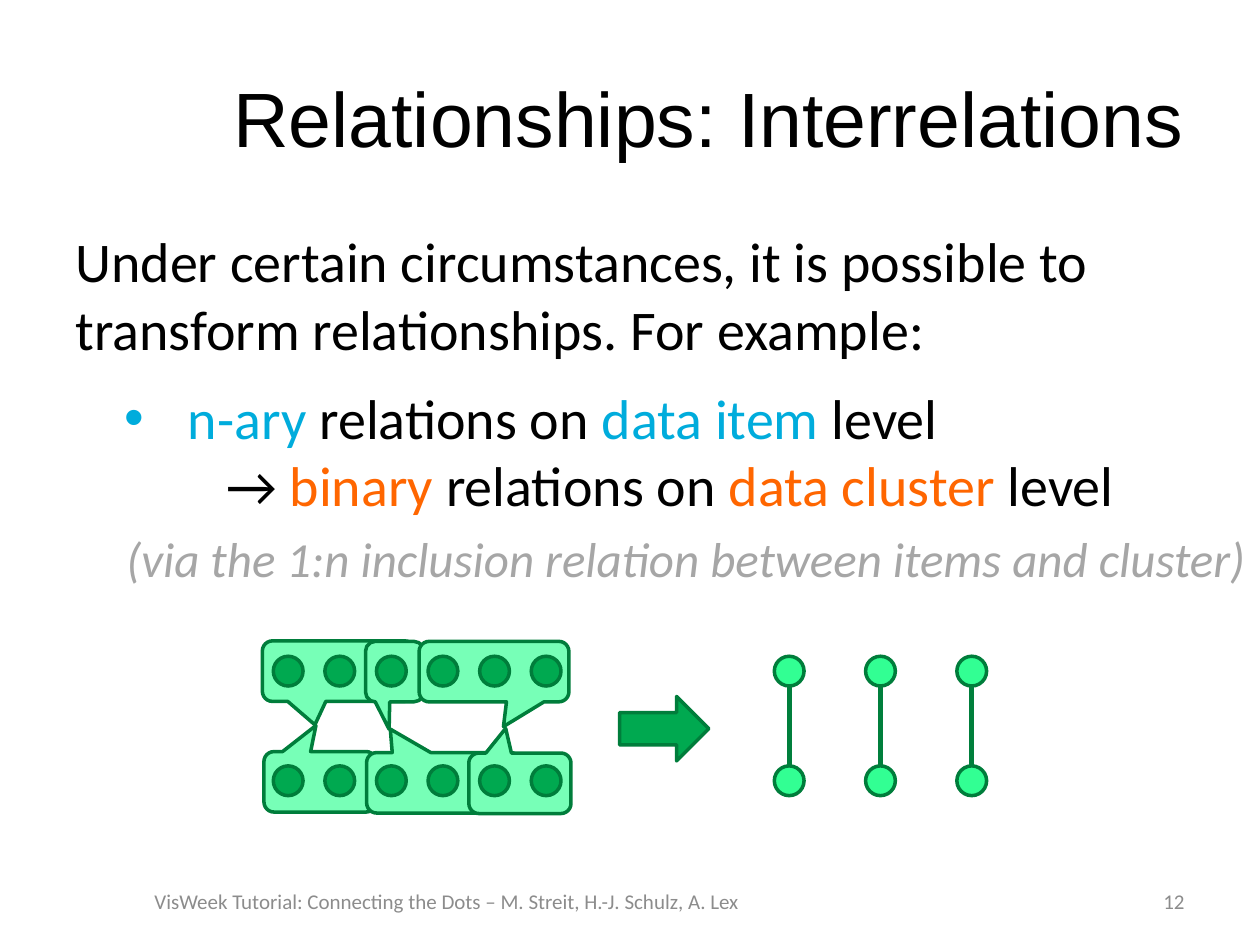
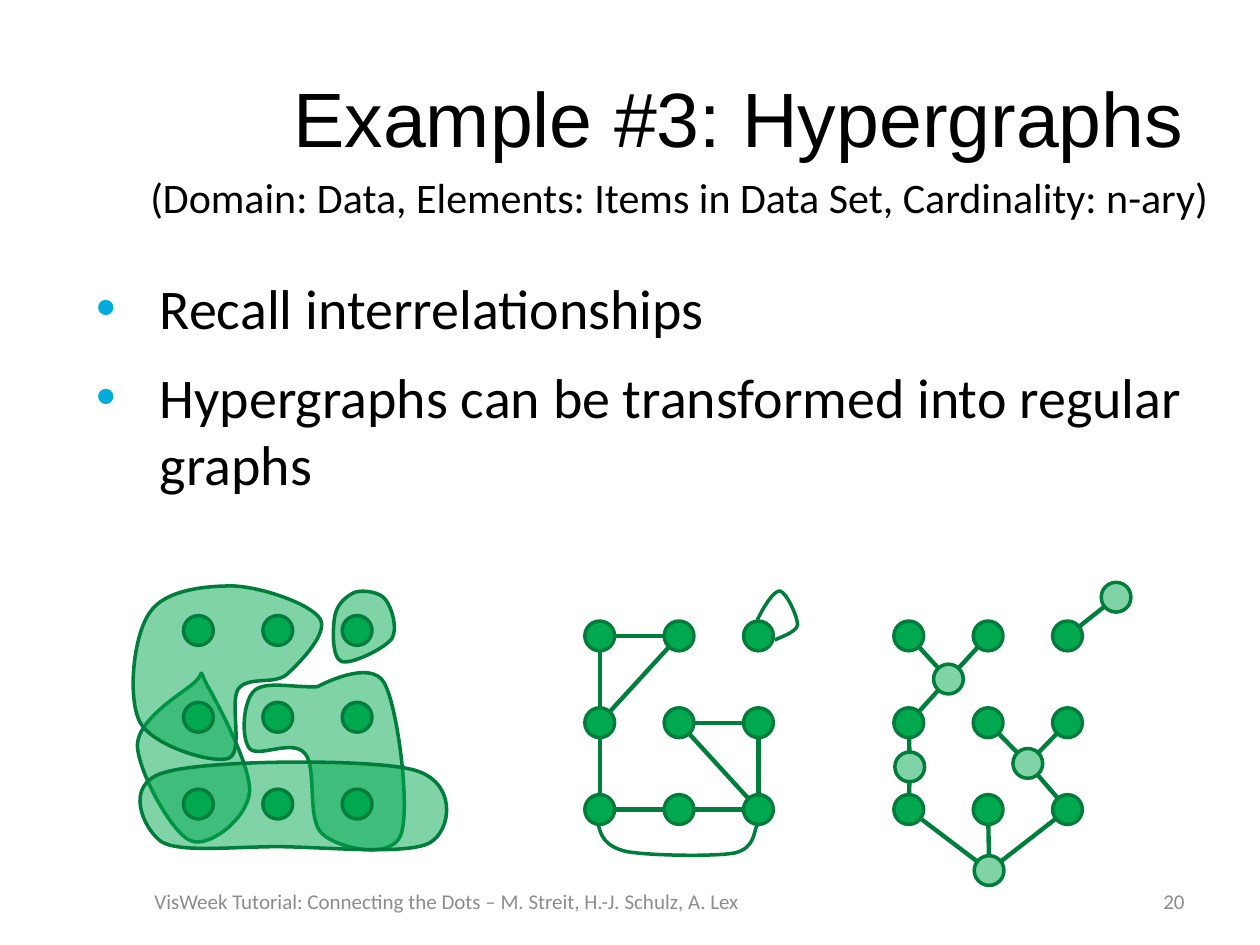
from math import hypot

from lxml.etree import SubElement
from pptx import Presentation
from pptx.dml.color import RGBColor
from pptx.enum.shapes import MSO_CONNECTOR, MSO_SHAPE
from pptx.enum.text import MSO_ANCHOR, PP_ALIGN
from pptx.oxml.ns import qn
from pptx.util import Cm, Pt

BLACK = RGBColor(0x00, 0x00, 0x00)
GREY = RGBColor(0x8C, 0x8C, 0x8C)
LIGHT_GREY = RGBColor(0xA6, 0xA6, 0xA6)
BLUE = RGBColor(0x00, 0xAC, 0xDC)
ORANGE = RGBColor(0xFF, 0x66, 0x00)
GREEN = RGBColor(0x00, 0xA9, 0x50)
BRIGHT_GREEN = RGBColor(0x32, 0xFF, 0x93)
PALE_GREEN = RGBColor(0x77, 0xFF, 0xB7)
OUTLINE = RGBColor(0x00, 0x7D, 0x3B)
LINK = RGBColor(0x00, 0x7F, 0x3C)

TITLE_FONT = "Arial"
TEXT_FONT = "Calibri"
FOOTER = "VisWeek Tutorial: Connecting the Dots – M. Streit, H.-J. Schulz, A. Lex"
RADIUS = 0.3
CURVE_UNIT = Cm(2.54) / 100


def paint(shape, fill, translucent=False):
    """Give a shape its fill (None for an open outline) and the green outline."""
    shape.shadow.inherit = False
    shape.line.color.rgb = OUTLINE
    shape.line.width = Pt(2)
    if fill is None:
        shape.fill.background()
        return
    shape.fill.solid()
    shape.fill.fore_color.rgb = fill
    if translucent:
        colour = shape.fill._xPr.find(qn("a:solidFill"))[0]
        SubElement(colour, qn("a:alpha"), val="50000")


def dot(slide, centre, fill, translucent=False):
    x, y = centre
    node = slide.shapes.add_shape(MSO_SHAPE.OVAL, Cm(x - RADIUS), Cm(y - RADIUS),
                                  Cm(2 * RADIUS), Cm(2 * RADIUS))
    paint(node, fill, translucent)


prs = Presentation()
prs.slide_width = Cm(25.4)
prs.slide_height = Cm(19.05)

# Titles
slides = []
for heading in ("Relationships: Interrelations", "Example #3: Hypergraphs"):
    slide = prs.slides.add_slide(prs.slide_layouts[5])
    title = slide.shapes.title
    title.left, title.top, title.width, title.height = Cm(1.27), Cm(0.76), Cm(22.86), Cm(3.18)
    title.text_frame.text = heading
    title.text_frame.vertical_anchor = MSO_ANCHOR.MIDDLE
    paragraph = title.text_frame.paragraphs[0]
    paragraph.alignment = PP_ALIGN.RIGHT
    font = paragraph.runs[0].font
    font.name, font.size, font.color.rgb = TITLE_FONT, Pt(44), BLACK
    slides.append(slide)
interrelations, hypergraphs = slides

# Body text: margin, hanging indent, space before, space after, runs
transformation = [
    (0, 0, 0, 6, [("Under certain circumstances, it is possible to transform "
                   "relationships. For example:", BLACK)]),
    (2.27, 1.27, 6.4, 0, [("n-ary", BLUE), (" relations on ", BLACK),
                          ("data item ", BLUE), ("level", BLACK)]),
    (3.04, 0, 0, 6, [("→ ", BLACK), ("binary", ORANGE), (" relations on ", BLACK),
                     ("data cluster", ORANGE), (" level", BLACK)]),
]
recall = [
    (1.27, 1.27, 0, 6, [("Recall interrelationships", BLACK)]),
    (1.27, 1.27, 6.4, 6, [("Hypergraphs can be transformed into regular graphs", BLACK)]),
]
for slide, left, top, width, height, content in (
    (interrelations, 1.27, 4.45, 24.13, 12.57, transformation),
    (hypergraphs, 1.7, 5.39, 22.81, 11.63, recall),
):
    frame = slide.shapes.add_textbox(Cm(left), Cm(top), Cm(width), Cm(height)).text_frame
    frame.word_wrap = True
    for index, (margin, hanging, before, after, runs) in enumerate(content):
        paragraph = frame.add_paragraph() if index else frame.paragraphs[0]
        properties = paragraph._p.get_or_add_pPr()
        properties.set("marL", str(Cm(margin)))
        properties.set("indent", str(-Cm(hanging)))
        if hanging:
            bullet_colour = SubElement(properties, qn("a:buClr"))
            SubElement(bullet_colour, qn("a:srgbClr"), val=str(BLUE))
            SubElement(properties, qn("a:buFont"), typeface=TITLE_FONT)
            SubElement(properties, qn("a:buChar"), char="•")
        paragraph.space_before, paragraph.space_after = Pt(before), Pt(after)
        for text, colour in runs:
            run = paragraph.add_run()
            run.text = text
            run.font.name, run.font.size, run.font.color.rgb = TEXT_FONT, Pt(32), colour

# Footers, slide numbers and single-line remarks
remarks = [
    (interrelations, 2.3, 10.52, 23.1, 1.45, PP_ALIGN.LEFT, 28, LIGHT_GREY,
     "(via the 1:n inclusion relation between items and cluster)"),
    (hypergraphs, 0.71, 3.33, 23.9, 1.27, PP_ALIGN.RIGHT, 24, BLACK,
     "(Domain: Data, Elements: Items in Data Set, Cardinality: n-ary)"),
]
for slide, number in ((interrelations, "12"), (hypergraphs, "20")):
    remarks.append((slide, 1.3, 17.65, 15.42, 1.02, PP_ALIGN.CENTER, 12, GREY, FOOTER))
    remarks.append((slide, 18.21, 17.65, 5.92, 1.02, PP_ALIGN.RIGHT, 12, GREY, number))
for slide, left, top, width, height, alignment, size, colour, text in remarks:
    frame = slide.shapes.add_textbox(Cm(left), Cm(top), Cm(width), Cm(height)).text_frame
    frame.word_wrap = True
    frame.vertical_anchor = MSO_ANCHOR.MIDDLE
    frame.text = text
    paragraph = frame.paragraphs[0]
    paragraph.alignment = alignment
    font = paragraph.runs[0].font
    font.name, font.size, font.color.rgb = TEXT_FONT, Pt(size), colour
    font.italic = colour == LIGHT_GREY

# Clusters of items: left, top, width, rotation, tip of the callout
clusters = [
    (5.29, 12.92, 3.07, 0, -0.155, 0.887),
    (5.32, 15.15, 2.26, 180, 0.036, 0.931),
    (7.39, 15.17, 3.1, 180, 0.346, 0.887),
    (9.45, 15.18, 2.06, 180, 0.139, 0.909),
    (7.37, 12.93, 1.17, 0, -0.094, 0.953),
    (8.45, 12.93, 3.02, 0, 0.063, 0.909),
]
for left, top, width, rotation, tip_x, tip_y in clusters:
    cluster = interrelations.shapes.add_shape(
        MSO_SHAPE.ROUNDED_RECTANGULAR_CALLOUT, Cm(left), Cm(top), Cm(width), Cm(1.22))
    cluster.rotation = rotation
    cluster.adjustments[0], cluster.adjustments[1] = tip_x, tip_y
    paint(cluster, PALE_GREEN)

becomes = interrelations.shapes.add_shape(
    MSO_SHAPE.RIGHT_ARROW, Cm(12.49), Cm(14.04), Cm(1.8), Cm(1.3))
paint(becomes, GREEN)

# Links collect slide, start node, end node and line width
links = []
upper_row, lower_row = 13.53, 15.74
for column in range(6):
    for y in (upper_row, lower_row):
        dot(interrelations, (5.81 + 1.04 * column, y), GREEN)
for column in range(3):
    pair = [(15.91 + 1.84 * column, y) for y in (upper_row, lower_row)]
    for centre in pair:
        dot(interrelations, centre, BRIGHT_GREEN)
    links.append((interrelations, *pair, 2.75))

# Hyperedges and loops as cubic curves: start point, then three points per segment
hyperedges = [
    [(154, 542), (145, 550), (110, 570), (109, 591), (109, 611), (136, 661), (151, 667),
     (165, 674), (196, 650), (198, 629), (200, 609), (172, 557), (164, 543),
     (157, 529), (163, 534), (154, 542)],
    [(306, 476), (302, 470), (289, 468), (282, 470), (275, 473), (268, 479), (266, 488),
     (264, 497), (263, 522), (271, 525), (278, 528), (305, 515), (311, 507),
     (316, 499), (311, 482), (306, 476)],
    [(305, 542), (294, 522), (252, 545), (252, 545), (234, 546), (211, 540), (202, 548),
     (193, 556), (191, 585), (198, 594), (205, 602), (232, 586), (242, 598),
     (252, 609), (243, 651), (256, 662), (268, 673), (310, 683), (318, 663),
     (326, 643), (316, 562), (305, 542)],
    [(131, 613), (97, 622), (114, 658), (128, 668), (143, 677), (185, 672), (220, 672),
     (255, 672), (323, 679), (341, 669), (359, 659), (363, 620), (328, 611),
     (294, 602), (164, 603), (131, 613)],
    [(119, 486), (131, 468), (163, 465), (185, 465), (208, 466), (246, 479), (254, 491),
     (261, 502), (239, 525), (228, 535), (218, 544), (197, 536), (189, 547),
     (182, 559), (194, 598), (181, 602), (168, 606), (121, 592), (111, 573),
     (101, 553), (106, 504), (119, 486)],
]
loops = [
    [(475, 655), (477, 663), (480, 672), (498, 676), (516, 679), (566, 680), (583, 677),
     (600, 673), (598, 659), (601, 655)],
    [(601, 492), (607, 480), (614, 469), (619, 469), (624, 470), (633, 489), (633, 496),
     (632, 502), (618, 506), (615, 508)],
]
for curve in hyperedges + loops:
    closed = curve in hyperedges
    builder = hypergraphs.shapes.build_freeform(*curve[0], scale=CURVE_UNIT)
    builder.add_line_segments(curve[1:], close=closed)
    outline = builder.convert_to_shape()
    paint(outline, GREEN if closed else None, closed)
    # Every three straight steps become one cubic segment
    steps = list(outline._element.iter(qn("a:lnTo")))
    for first, second, third in zip(steps[::3], steps[1::3], steps[2::3]):
        segment = first.makeelement(qn("a:cubicBezTo"))
        first.addprevious(segment)
        for step in (first, second, third):
            segment.append(step[0])
            step.getparent().remove(step)

# Three 3 x 3 grids of items, addressed by (row, column)
grids = []
for left, top in ((4, 12.71), (12.09, 12.82), (18.32, 12.82)):
    grid = {(row, column): (left + 1.6 * column, top + 1.75 * row)
            for row in range(3) for column in range(3)}
    for centre in grid.values():
        dot(hypergraphs, centre, GREEN)
    grids.append(grid)
_, graph, bipartite = grids

edges = [
    ((0, 0), (1, 0)), ((1, 0), (0, 1)), ((0, 1), (0, 0)),
    ((1, 1), (1, 2)), ((1, 2), (2, 2)), ((1, 1), (2, 2)),
    ((2, 0), (2, 1)), ((2, 1), (2, 2)), ((1, 0), (2, 0)),
]
for start, end in edges:
    links.append((hypergraphs, graph[start], graph[end], 2.5))

hubs = [
    ((19.12, 13.69), [(0, 0), (0, 1), (1, 0)]),
    ((20.72, 15.39), [(1, 1), (1, 2), (2, 2)]),
    ((22.5, 12.04), [(0, 2)]),
    ((19.94, 17.55), [(2, 0), (2, 1), (2, 2)]),
    ((18.34, 15.46), [(1, 0), (2, 0)]),
]
for hub, members in hubs:
    dot(hypergraphs, hub, GREEN, translucent=True)
    for member in members:
        links.append((hypergraphs, bipartite[member], hub, 2.5))

# Each link runs from rim to rim of its two nodes
for slide, (x1, y1), (x2, y2), width in links:
    distance = hypot(x2 - x1, y2 - y1)
    dx, dy = RADIUS * (x2 - x1) / distance, RADIUS * (y2 - y1) / distance
    link = slide.shapes.add_connector(MSO_CONNECTOR.STRAIGHT, Cm(x1 + dx), Cm(y1 + dy),
                                      Cm(x2 - dx), Cm(y2 - dy))
    link.line.color.rgb = LINK
    link.line.width = Pt(width)
    SubElement(link._element.spPr, qn("a:effectLst"))

prs.save("out.pptx")
